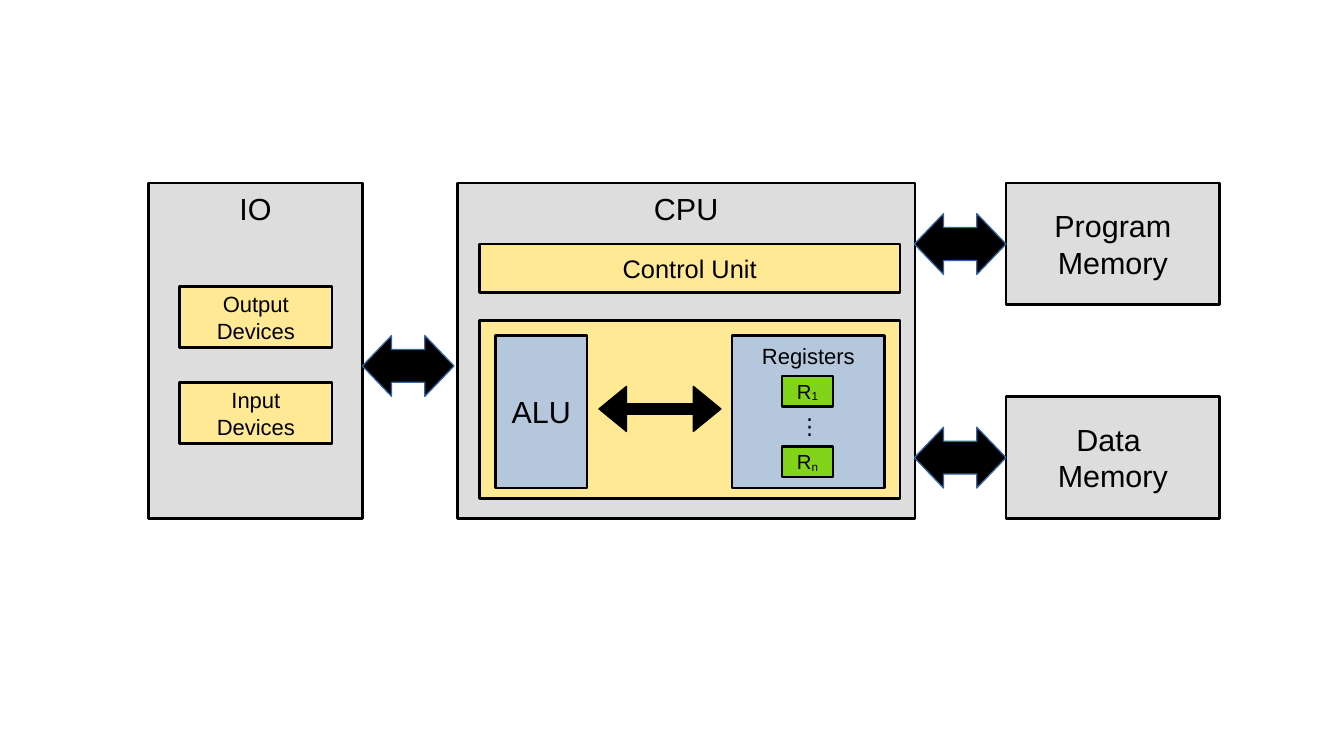
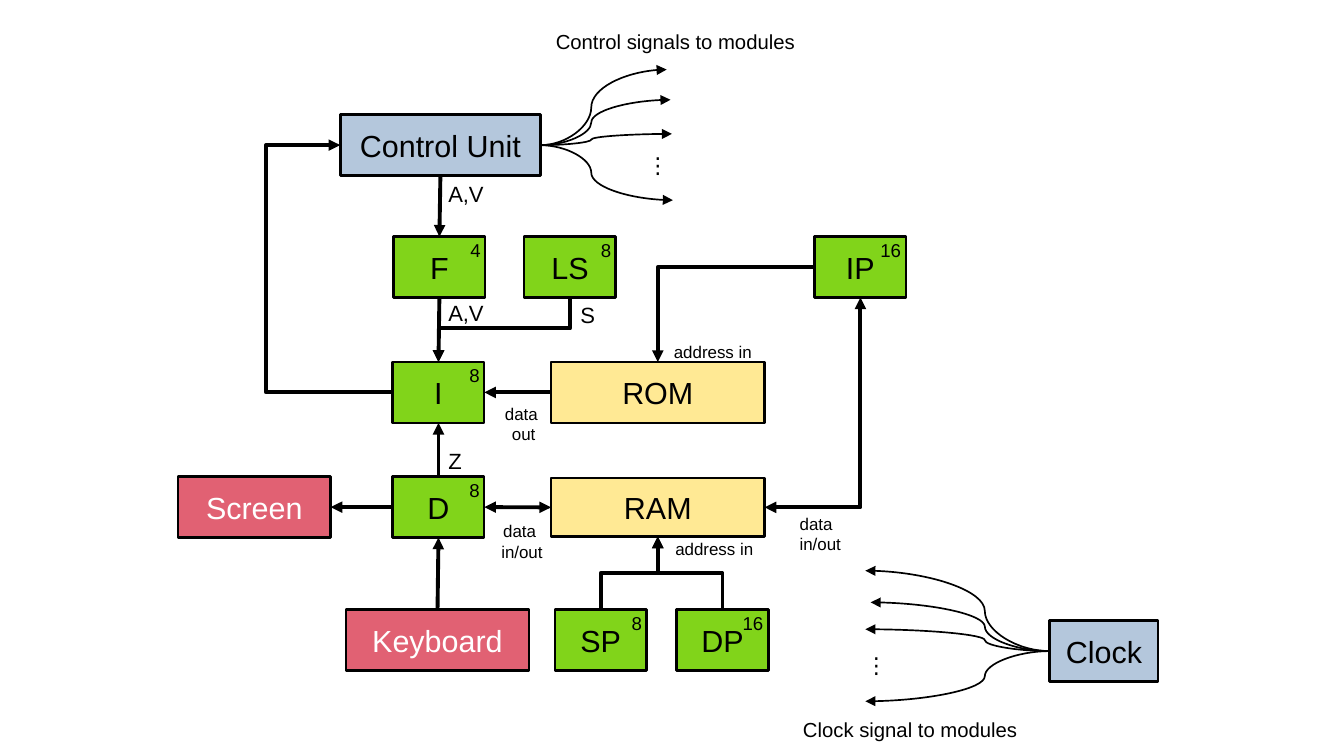
from lxml import etree
from pptx import Presentation
from pptx.dml.color import RGBColor
from pptx.enum.shapes import MSO_CONNECTOR, MSO_SHAPE
from pptx.enum.text import MSO_ANCHOR, MSO_AUTO_SIZE, PP_ALIGN
from pptx.oxml.ns import qn
from pptx.util import Cm, Pt

RECT = MSO_SHAPE.RECTANGLE
ARROW = MSO_SHAPE.LEFT_RIGHT_ARROW
LINE = MSO_CONNECTOR.STRAIGHT
BENT = MSO_CONNECTOR.ELBOW
CURVE = MSO_CONNECTOR.CURVE
TOP, MID = MSO_ANCHOR.TOP, MSO_ANCHOR.MIDDLE
LEFT, CENTER = PP_ALIGN.LEFT, PP_ALIGN.CENTER
FIT = MSO_AUTO_SIZE.SHAPE_TO_FIT_TEXT
UP_SIDE, LEFT_SIDE, LOW_SIDE, RIGHT_SIDE = range(4)

BLACK = RGBColor(0x00, 0x00, 0x00)
WHITE = RGBColor(0xFF, 0xFF, 0xFF)
GREY = RGBColor(0xDD, 0xDD, 0xDD)
YELLOW = RGBColor(0xFF, 0xE9, 0x94)
BLUE = RGBColor(0xB4, 0xC7, 0xDC)
GREEN = RGBColor(0x81, 0xD4, 0x1A)
RED = RGBColor(0xE1, 0x61, 0x73)
EDGE = RGBColor(0x34, 0x65, 0xA4)

FONT = "Arial"
DOTS = "⋮"
BOX_PAD = {"margin_left": Cm(0.28), "margin_right": Cm(0.28),
           "margin_top": Cm(0.15), "margin_bottom": Cm(0.15)}
TEXT_PAD = {"margin_left": Cm(0.25), "margin_right": Cm(0.25),
            "margin_top": Cm(0.13), "margin_bottom": Cm(0.13)}


def apply(item, form):
    for name, value in form.items():
        setattr(item, name, value)


def write(frame, text, size, color, align, form, sub=""):
    apply(frame, form)
    para = frame.paragraphs[0]
    para.text = text
    para.alignment = align
    if sub:
        run = para.add_run()
        run.text = sub
        run.font._element.set("baseline", "-8000")
    for run in para.runs:
        apply(run.font, {"name": FONT, "size": Pt(size)})
        run.font.color.rgb = color


def shape(slide, kind, area, fill, edge=BLACK, width=1.5):
    item = slide.shapes.add_shape(kind, *map(Cm, area))
    item.shadow.inherit = False
    item.fill.solid()
    item.fill.fore_color.rgb = fill
    item.line.color.rgb = edge
    item.line.width = Pt(width)
    return item


def box(slide, area, fill, text="", size=18, color=BLACK, anchor=MID, sub=""):
    item = shape(slide, RECT, area, fill)
    if text:
        form = {**BOX_PAD, "word_wrap": True, "vertical_anchor": anchor}
        write(item.text_frame, text, size, color, CENTER, form, sub)
    return item


def label(slide, area, text, size, align=LEFT, wrap=False):
    item = slide.shapes.add_textbox(*map(Cm, area))
    form = {**TEXT_PAD, "word_wrap": wrap, "auto_size": FIT}
    write(item.text_frame, text, size, BLACK, align, form)


def dots(slide, x, y):
    label(slide, (x, y, 0.79, 0.76), DOTS, 13, wrap=True)


def arrow(slide, area, shaft, head, edge, width):
    item = shape(slide, ARROW, area, BLACK, edge, width)
    item.adjustments[0], item.adjustments[1] = shaft, head


def bus(slide, x, y):
    arrow(slide, (x, y, 1.91, 1.27), 0.54, 0.48, EDGE, 0)


def turn(wire):
    dx, dy = wire.end_x - wire.begin_x, wire.end_y - wire.begin_y
    mid_x, mid_y = wire.begin_x + dx // 2, wire.begin_y + dy // 2
    wide, high = abs(dy), abs(dx)
    apply(wire, {"left": mid_x - wide // 2, "top": mid_y - high // 2,
                 "width": wide, "height": high})
    frame = wire._element.spPr.find(qn("a:xfrm"))
    for name, value in {"rot": 5400000, "flipH": int(dy < 0),
                        "flipV": int(dx > 0)}.items():
        frame.set(name, str(value))


def link(slide, src, side, goal, port=None, kind=LINE, width=2.3,
         both=False, bend=None, corner=False):
    end = (0, 0) if port is not None else goal
    wire = slide.shapes.add_connector(kind, 0, 0, *end)
    wire.begin_connect(src, side)
    if port is not None:
        wire.end_connect(goal, port)
    wire.line.color.rgb = BLACK
    wire.line.width = Pt(width)
    props = wire._element.spPr
    pen = props.find(qn("a:ln"))
    for name in ["headEnd"] * both + ["tailEnd"]:
        etree.SubElement(pen, qn("a:" + name)).set("type", "triangle")
    etree.SubElement(props, qn("a:effectLst"))
    geom = props.find(qn("a:prstGeom"))
    if corner:
        geom.set("prst", "bentConnector2")
    if bend is not None:
        guide = etree.SubElement(geom.find(qn("a:avLst")), qn("a:gd"))
        guide.set("name", "adj1")
        guide.set("fmla", f"val {round(bend * 100000)}")
    if kind == BENT and side in (UP_SIDE, LOW_SIDE):
        turn(wire)


def cpu(slide, x, y):
    box(slide, (x, y, 9.53, 6.99), GREY, "CPU", anchor=TOP)
    box(slide, (x + 0.46, y + 2.87, 8.76, 3.71), YELLOW)
    bank(slide, x + 5.72, y + 3.18)
    box(slide, (x + 0.79, y + 3.18, 1.91, 3.18), BLUE, "ALU")
    arrow(slide, (x + 2.95, y + 4.24, 2.54, 0.94), 0.23, 0.61, BLACK, 0.79)
    box(slide, (x + 0.46, y + 1.27, 8.76, 1.02), YELLOW, "Control Unit", 15)


def bank(slide, x, y):
    box(slide, (x, y, 3.18, 3.18), BLUE, "Registers", 13, anchor=TOP)
    for drop, sub in ((0.84, "1"), (2.31, "n")):
        box(slide, (x + 1.04, y + drop, 1.07, 0.64), GREEN, "R", 12, sub=sub)
    dots(slide, x + 1.14, y + 1.47)


def ports(slide, x, y):
    box(slide, (x, y, 4.45, 6.99), GREY, "IO", anchor=TOP)
    for drop, name in ((2.16, "Output Devices"), (4.16, "Input Devices")):
        box(slide, (x + 0.64, y + drop, 3.18, 1.27), YELLOW, name, 13)


def store(slide, x, y):
    for drop, name in ((0, "Program Memory"), (4.45, "Data \vMemory")):
        box(slide, (x, y + drop, 4.45, 2.54), GREY, name)
        bus(slide, x - 1.91, y + drop + 0.64)


def cell(slide, x, y, name, bits):
    item = box(slide, (x, y, 1.91, 1.27), GREEN, name)
    wide = 0.48 + 0.23 * len(bits)
    label(slide, (x + 2.06 - wide, y - 0.08, wide, 0.69), bits, 11)
    return item


def core(slide, x, y):
    unit = {name: cell(slide, x + dx, y + dy, name, bits)
            for name, dx, dy, bits in (
                ("F", 4.49, 2.54, "4"), ("LS", 7.21, 2.54, "8"),
                ("IP", 13.26, 2.54, "16"), ("I", 4.47, 5.15, "8"),
                ("D", 4.47, 7.54, "8"), ("SP", 7.85, 10.31, "8"),
                ("DP", 10.39, 10.31, "16"))}
    for name, dx, dy, wide, high, fill, color in (
            ("Control Unit", 3.38, 0, 4.17, 1.27, BLUE, BLACK),
            ("ROM", 7.77, 5.15, 4.45, 1.27, YELLOW, BLACK),
            ("RAM", 7.77, 7.57, 4.45, 1.22, YELLOW, BLACK),
            ("Screen", 0, 7.54, 3.18, 1.27, RED, WHITE),
            ("Keyboard", 3.5, 10.31, 3.81, 1.27, RED, WHITE)):
        unit[name] = box(slide, (x + dx, y + dy, wide, high), fill, name,
                         color=color)
    for src, side, goal, port, form in (
            ("Control Unit", LOW_SIDE, "F", UP_SIDE, {}),
            ("F", LOW_SIDE, "I", UP_SIDE, {}),
            ("D", UP_SIDE, "I", LOW_SIDE, {}),
            ("ROM", LEFT_SIDE, "I", RIGHT_SIDE, {}),
            ("D", LEFT_SIDE, "Screen", RIGHT_SIDE, {}),
            ("Keyboard", UP_SIDE, "D", LOW_SIDE, {}),
            ("D", RIGHT_SIDE, "RAM", LEFT_SIDE, {"both": True}),
            ("LS", LOW_SIDE, "I", UP_SIDE, {"kind": BENT, "bend": 0.48}),
            ("I", LEFT_SIDE, "Control Unit", LEFT_SIDE,
             {"kind": BENT, "bend": 2.42}),
            ("IP", LOW_SIDE, "RAM", RIGHT_SIDE,
             {"kind": BENT, "corner": True, "both": True}),
            ("IP", LEFT_SIDE, "ROM", UP_SIDE, {"kind": BENT, "corner": True}),
            ("SP", UP_SIDE, "RAM", LOW_SIDE, {"kind": BENT, "bend": 0.5}),
            ("DP", UP_SIDE, "RAM", LOW_SIDE, {"kind": BENT, "bend": 0.5})):
        link(slide, unit[src], side, unit[goal], port, **form)
    for text, dx, dy, wide in (("A,V", 5.38, 1.24, 1.24),
                               ("A,V", 5.38, 3.73, 1.24),
                               ("S", 8.13, 3.76, 0.81),
                               ("Z", 5.38, 6.8, 0.79)):
        label(slide, (x + dx, y + dy, wide, 0.76), text, 13)
    for text, dx, dy in (("address in", 10.08, 4.6),
                         ("address in", 10.11, 8.71),
                         ("data in/out", 12.7, 8.18)):
        label(slide, (x + dx, y + dy, 2.13, 0.64), text, 10)
    for text, dx, dy, wide in (("data \vin/out", 6.48, 8.33, 1.37),
                               ("data \vout", 6.55, 5.89, 1.3)):
        label(slide, (x + dx, y + dy, wide, 1.04), text, 10, CENTER)
    return unit["Control Unit"]


def fan(slide, src, side, bend, tips, mark, note, text):
    x, y = src.left.cm, src.top.cm
    start = src.width.cm if side == RIGHT_SIDE else 0
    for dx, dy in tips:
        link(slide, src, side, (Cm(x + dx), Cm(y + dy)), kind=CURVE, width=1,
             bend=(bend - start) / (dx - start))
    dots(slide, x + mark[0], y + mark[1])
    label(slide, (x + note[0], y + note[1], note[2], 0.74), text, 12)


def main():
    deck = Presentation()
    apply(deck, {"slide_width": Cm(28), "slide_height": Cm(15.75)})
    blank = deck.slide_layouts[6]

    slide = deck.slides.add_slide(blank)
    cpu(slide, 9.53, 3.81)
    ports(slide, 3.1, 3.81)
    bus(slide, 7.55, 6.99)
    store(slide, 20.96, 3.81)

    slide = deck.slides.add_slide(blank)
    control = core(slide, 3.71, 2.39)
    fan(slide, control, RIGHT_SIDE, 5.23,
        ((6.8, -0.94), (6.88, -0.31), (6.91, 0.4), (6.93, 1.78)),
        (6.14, 0.63), (4.24, -1.91, 5.51), "Control signals to modules")
    clock = box(slide, (21.87, 12.93, 2.26, 1.27), BLUE, "Clock")
    fan(slide, clock, LEFT_SIDE, -1.35,
        ((-3.84, -1.04), (-3.73, -0.38), (-3.84, 0.18), (-3.84, 1.68)),
        (-4.09, 0.51), (-5.39, 1.88, 4.98), "Clock signal to modules")
    deck.save("out.pptx")


if __name__ == "__main__":
    main()
